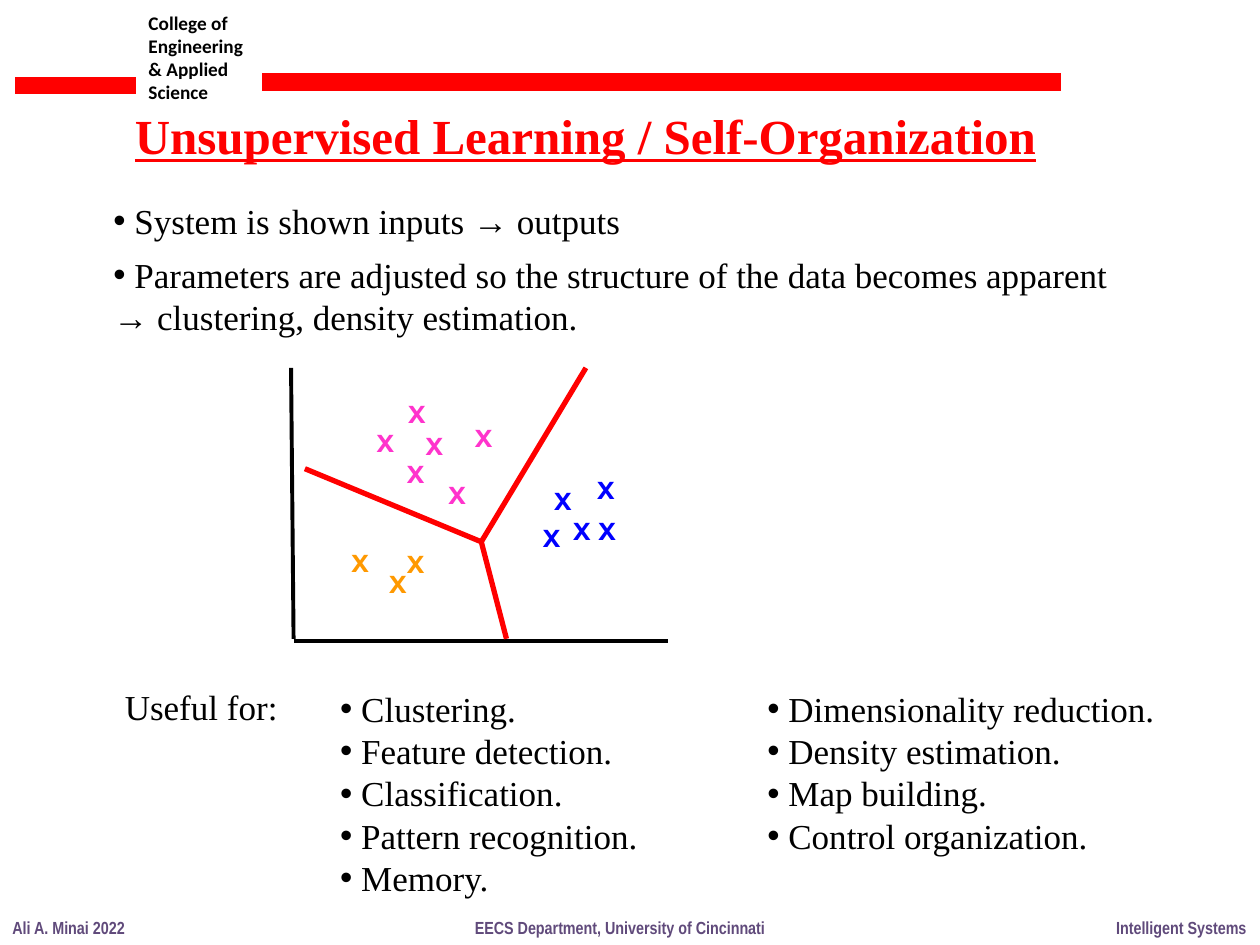
from lxml import etree
from pptx import Presentation
from pptx import util as u
from pptx.dml.color import RGBColor
from pptx.enum import shapes, text
from pptx.oxml.ns import qn

BLACK = RGBColor(0, 0, 0)
RED = RGBColor(0xFF, 0, 0)
PURPLE = RGBColor(0x60, 0x4A, 0x7B)
PINK = RGBColor(0xFF, 0x33, 0xCC)
BLUE = RGBColor(0, 0, 0xFF)
ORANGE = RGBColor(0xFF, 0x99, 0)

COLUMNS, ROWS = 100, 75
COMPARISON_LAYOUT = 4
SERIF = "Times New Roman"


def write_text(frame, lines, font=SERIF, size=20, color=BLACK, bold=False,
               underline=False, bullet=None, gap=0, wrap=False):
    frame.word_wrap = wrap
    frame.auto_size = text.MSO_AUTO_SIZE.NONE
    frame.vertical_anchor = text.MSO_ANCHOR.TOP
    for index, line in enumerate(lines):
        paragraph = frame.add_paragraph() if index else frame.paragraphs[0]
        paragraph.alignment = text.PP_ALIGN.LEFT
        paragraph.line_spacing = 1.0
        paragraph.space_before = u.Pt(gap if index else 0)
        properties = paragraph._p.get_or_add_pPr()
        properties.set("marL", "0")
        properties.set("indent", "0")
        if bullet:
            etree.SubElement(properties, qn("a:buChar")).set("char", bullet)
        else:
            etree.SubElement(properties, qn("a:buNone"))
        run = paragraph.add_run()
        run.text = line
        run.font.name = font
        run.font.size = u.Pt(size)
        run.font.bold = bold
        run.font.underline = underline
        run.font.color.rgb = color


class SlideBuilder:
    def __init__(self, presentation):
        self.column = presentation.slide_width / COLUMNS
        self.row = presentation.slide_height / ROWS
        layout = presentation.slide_layouts[COMPARISON_LAYOUT]
        self.slide = presentation.slides.add_slide(layout)

    def place(self, column, row):
        return round(column * self.column), round(row * self.row)

    def textbox(self, left, top, width, height, *lines, **style):
        shape = self.slide.shapes.add_textbox(
            *self.place(left, top), *self.place(width, height))
        write_text(shape.text_frame, lines, **style)

    def placeholder(self, index, left, top, width, height, *lines, **style):
        shape = self.slide.placeholders[index]
        shape.left, shape.top = self.place(left, top)
        shape.width, shape.height = self.place(width, height)
        write_text(shape.text_frame, lines, **style)

    def line(self, start, end, color=RED, weight=3):
        connector = self.slide.shapes.add_connector(
            shapes.MSO_CONNECTOR.STRAIGHT, *self.place(*start), *self.place(*end))
        connector.line.color.rgb = color
        connector.line.width = u.Pt(weight)
        etree.SubElement(connector._element.spPr, qn("a:effectLst"))

    def cluster(self, points, color):
        for left, top in points:
            self.textbox(left, top, 3.5, 3.3, "X", font="Montserrat",
                         size=14, color=color, bold=True)


def add_header(builder):
    builder.textbox(10.8, 0.4, 10.9, 8.4, "College of Engineering & Applied",
                    "Science", font="Calibri", size=11, bold=True, wrap=True)
    builder.line((1.2, 6.8), (10.8, 6.8), weight=10)
    builder.line((20.8, 6.5), (84.2, 6.5), weight=10)
    builder.placeholder(0, 9.7, 7.9, 73.6, 5.7,
                        "Unsupervised Learning / Self-Organization",
                        size=28, color=RED, bold=True, underline=True)


def add_footer(builder):
    for left, width, label in (
            (0, 11, "Ali A. Minai 2022"),
            (36.7, 25.2, "EECS Department, University of Cincinnati"),
            (87.6, 12.4, "Intelligent Systems")):
        builder.textbox(left, 72.3, width, 2.7, label, font="Arial Narrow",
                        size=10, color=PURPLE, bold=True)


def add_lists(builder):
    builder.placeholder(
        1, 8, 15.3, 84.1, 12.3,
        " System is shown inputs → outputs",
        " Parameters are adjusted so the structure of the data becomes apparent "
        "\t→ clustering, density estimation.",
        bullet="•", gap=7, wrap=True)
    builder.placeholder(3, 8.9, 53.9, 14.2, 4.4, "Useful for:")
    builder.placeholder(
        2, 26, 54.1, 25.8, 17.8, " Clustering.", " Feature detection.",
        " Classification.", " Pattern recognition.", " Memory.", bullet="•")
    builder.placeholder(
        4, 59.9, 54.1, 32.9, 14.5, " Dimensionality reduction.",
        " Density estimation.", " Map building.", " Control organization.",
        bullet="•")


def add_cluster_plot(builder):
    builder.line((23.1, 29.2), (23.3, 50.7), BLACK, 2.25)
    builder.line((23.3, 50.9), (53, 50.9), BLACK, 2.25)
    builder.cluster([(31.3, 35.9), (28.9, 33.5), (32.8, 33.7),
                     (36.7, 33.1), (34.6, 37.6), (31.4, 31.2)], PINK)
    builder.cluster([(44.5, 40.5), (46.4, 37.2), (43, 38.1),
                     (46.5, 40.5), (42.1, 41)], BLUE)
    builder.cluster([(29.9, 44.7), (26.9, 43), (31.3, 43.1)], ORANGE)
    junction = (38.2, 43)
    for boundary_end in ((24.2, 37.2), (40.2, 50.7), (46.5, 29.2)):
        builder.line(junction, boundary_end)


def main():
    presentation = Presentation()
    presentation.slide_width = u.Inches(10)
    presentation.slide_height = u.Inches(7.5)
    builder = SlideBuilder(presentation)
    add_header(builder)
    add_footer(builder)
    add_lists(builder)
    add_cluster_plot(builder)
    presentation.save("out.pptx")


if __name__ == "__main__":
    main()
